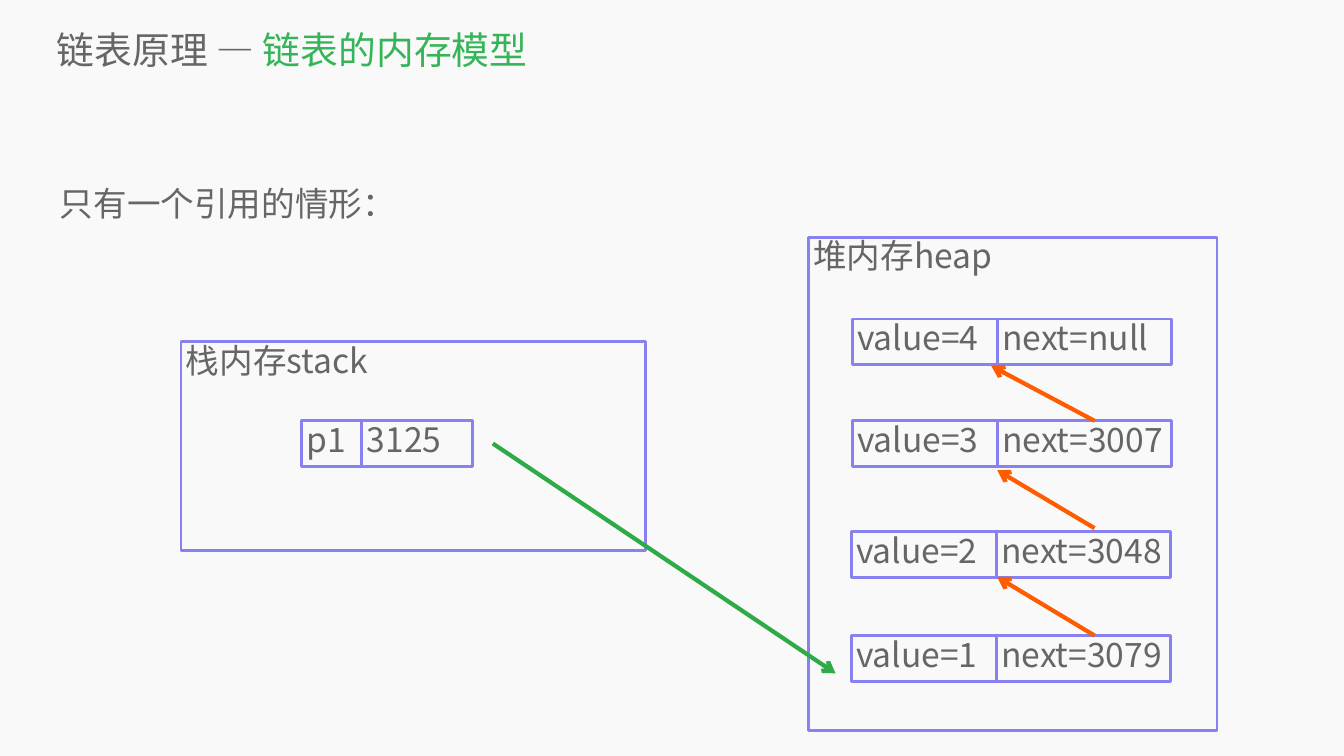
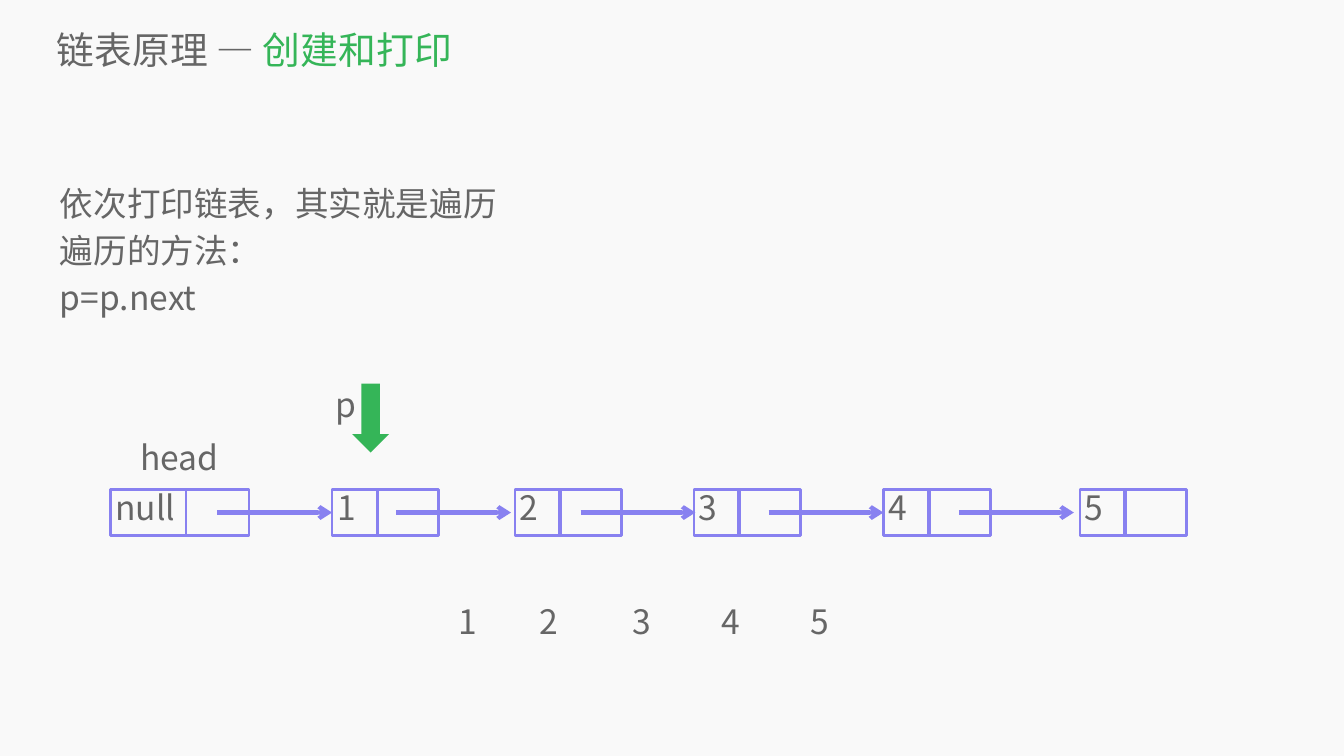
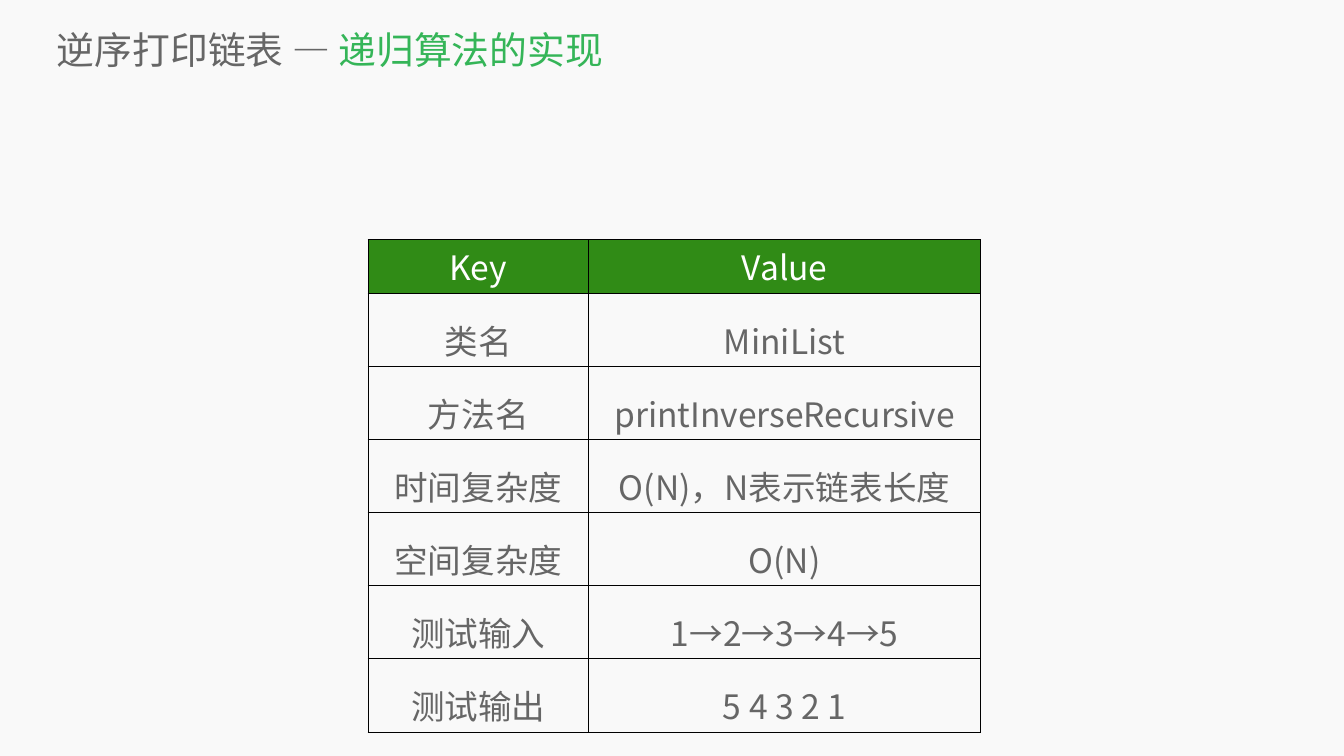
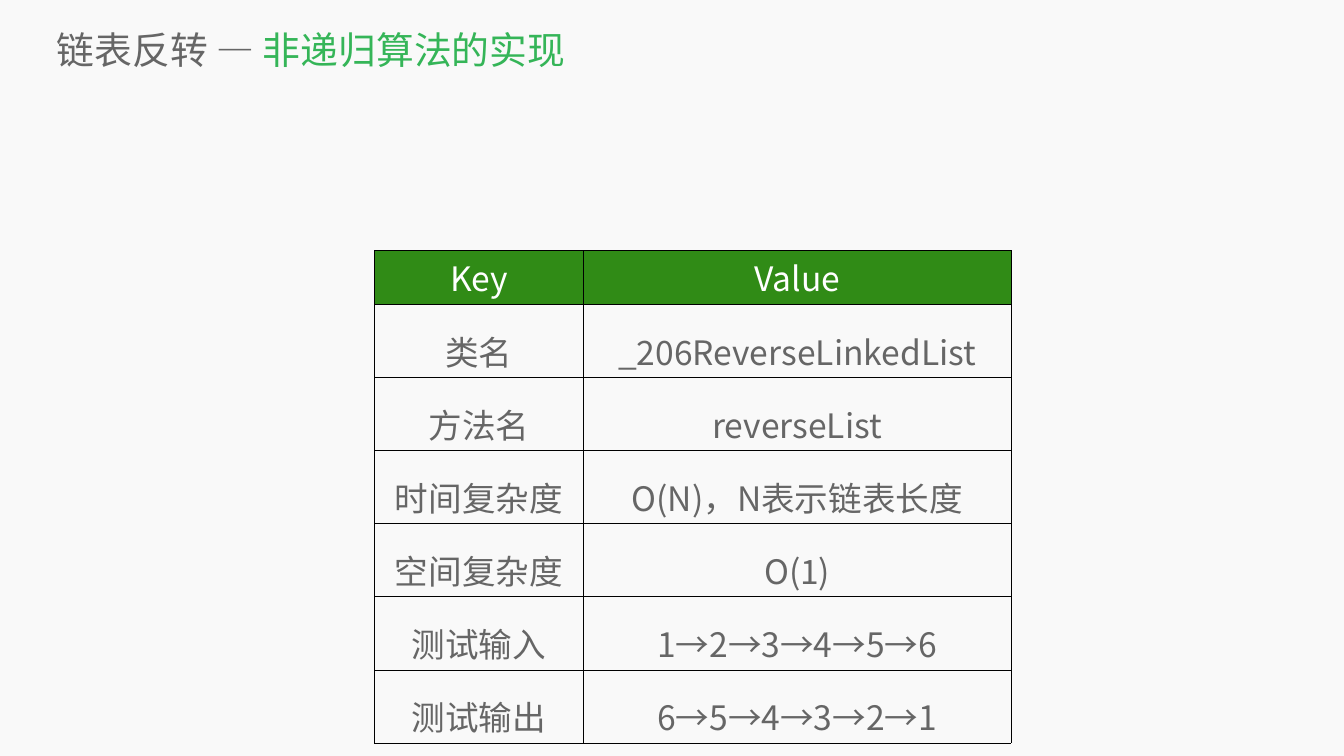
from lxml.etree import SubElement
from pptx import Presentation
from pptx.dml.color import RGBColor
from pptx.enum.shapes import MSO_CONNECTOR, MSO_SHAPE
from pptx.enum.text import MSO_ANCHOR, MSO_AUTO_SIZE, PP_ALIGN
from pptx.oxml.ns import qn
from pptx.util import Inches, Pt

FONT = "Noto Sans CJK SC"
PAPER, GREY, GREEN, VIOLET = "F9F9F9", "666666", "35B558", "8881F0"
LINK_GREEN, ORANGE = "2EAA46", "FF5C00"
HEADER_GREEN, WHITE, BLACK = "308B16", "FFFFFF", "000000"
TITLE_SIZE, TEXT_SIZE = 54, 48
CELL_H = 0.91            # height of one memory cell
TIGHT, LOOSE = 0.9, 1.17  # line spacing of labels and of body text


def rgb(value):
    """Turn a hex string into a colour."""
    return RGBColor.from_string(value)


def box(*lengths):
    """Turn lengths in inches into slide units."""
    return [Inches(n) for n in lengths]


def style(p, size=TEXT_SIZE, color=GREY, align=PP_ALIGN.LEFT, spacing=None):
    """Format a paragraph, with one font for Latin and Chinese text."""
    p.font.size, p.font.name = Pt(size), FONT
    p.font.color.rgb = rgb(color)
    p.alignment = align
    if spacing:
        p.line_spacing = spacing
    for r in p.runs:
        r.font.name = FONT
        SubElement(r.font._element, qn("a:ea"), typeface=FONT)


def place(sp, at, anchor):
    """Move a placeholder and clear its insets."""
    sp.left, sp.top, sp.width, sp.height = box(*at)
    tf = sp.text_frame
    tf.margin_left = tf.margin_top = tf.margin_right = tf.margin_bottom = 0
    tf.vertical_anchor = anchor
    tf.auto_size, tf.word_wrap = MSO_AUTO_SIZE.NONE, True
    return tf


def add_slide(prs, topic, subject, lines=()):
    """Add a slide with a two-colour title and optional body lines."""
    s = prs.slides.add_slide(prs.slide_layouts[0])
    s.background.fill.solid()
    s.background.fill.fore_color.rgb = rgb(PAPER)
    p = place(s.shapes.title, (1.13, 0.47, 25.16, 1.02), MSO_ANCHOR.MIDDLE).paragraphs[0]
    p.add_run().text = f"{topic} — "
    r = p.add_run()
    r.text = subject
    style(p, TITLE_SIZE)
    r.font.color.rgb = rgb(GREEN)
    body = s.placeholders[1]
    if not lines:
        body.element.getparent().remove(body.element)
        return s
    tf = place(body, (1.19, 3.49, 24.28, 11.24), MSO_ANCHOR.TOP)
    tf.text = "\n".join(lines)
    for p in tf.paragraphs:
        style(p, spacing=LOOSE)
        p.space_before = Pt(0)
    return s


def write(sp, text):
    """Put a label at the top left of a shape."""
    tf = sp.text_frame
    tf.word_wrap, tf.auto_size = True, MSO_AUTO_SIZE.NONE
    tf.vertical_anchor = MSO_ANCHOR.TOP
    tf.text = text
    style(tf.paragraphs[0], spacing=TIGHT)


def label(s, x, y, w, text):
    """Add a free label."""
    write(s.shapes.add_textbox(*box(x, y, w, CELL_H)), text)


def frame(s, x, y, w, h=CELL_H, text=""):
    """Add an outlined box with an optional label."""
    sp = s.shapes.add_shape(MSO_SHAPE.RECTANGLE, *box(x, y, w, h))
    sp.shadow.inherit = False
    sp.fill.background()
    sp.line.color.rgb, sp.line.width = rgb(VIOLET), Pt(4)
    if text:
        write(sp, text)


def node(s, x, y, widths, texts):
    """Add two memory cells side by side."""
    for w, text in zip(widths, texts):
        frame(s, x, y, w, text=text)
        x += w


def arrow(s, start, end, color):
    """Add a line with an open arrowhead at its end."""
    c = s.shapes.add_connector(MSO_CONNECTOR.STRAIGHT, *box(*start, *end))
    c.line.color.rgb, c.line.width = rgb(color), Pt(6)
    SubElement(c.line._get_or_add_ln(), qn("a:tailEnd"), type="arrow")
    SubElement(c.element.spPr, qn("a:effectLst"))


def border(cell):
    """Draw a thin black line on every side of a cell."""
    tcPr = cell._tc.get_or_add_tcPr()
    for i, side in enumerate(("lnL", "lnR", "lnT", "lnB")):
        ln = SubElement(tcPr, qn(f"a:{side}"), w=str(Pt(1)))
        SubElement(SubElement(ln, qn("a:solidFill")), qn("a:srgbClr"), val=BLACK)
        tcPr.insert(i, ln)


def summary_table(s, x, y, widths, values):
    """Add the table of facts about one algorithm."""
    keys = ["Key", "类名", "方法名", "时间复杂度", "空间复杂度", "测试输入", "测试输出"]
    rows = list(zip(keys, ["Value", *values]))
    shape = s.shapes.add_table(len(rows), 2, *box(x, y, sum(widths), 8.22))
    table = shape.table
    table.horz_banding = False
    for col, w in zip(table.columns, widths):
        col.width = Inches(w)
    for i, texts in enumerate(rows):
        head = i == 0
        table.rows[i].height = Inches(0.85 if head else 0.83)
        for j, text in enumerate(texts):
            cell = table.cell(i, j)
            cell.text = text
            style(cell.text_frame.paragraphs[0], color=WHITE if head else GREY,
                  align=PP_ALIGN.CENTER, spacing=None if head else 1.4)
            if head:
                cell.fill.solid()
                cell.fill.fore_color.rgb = rgb(HEADER_GREEN)
            else:
                cell.fill.background()
            border(cell)
    shape.height = Inches(8.22)


def memory_slide(prs):
    """Show a reference on the stack and the nodes on the heap."""
    s = add_slide(prs, "链表原理", "链表的内存模型", ["只有一个引用的情形："])
    frame(s, 16.04, 4.71, 8.11, 9.79, "堆内存heap")
    frame(s, 3.59, 6.78, 9.22, 4.14, "栈内存stack")
    node(s, 5.98, 8.35, (1.2, 2.2), ("p1", "3125"))
    heap = [(16.91, 6.33, 4, "null"), (16.91, 8.35, 3, "3007"),
            (16.89, 10.55, 2, "3048"), (16.89, 12.61, 1, "3079")]
    for x, y, value, address in heap:
        node(s, x, y, (2.88, 3.46), (f"value={value}", f"next={address}"))
    arrow(s, (9.78, 8.8), (16.58, 13.36), LINK_GREEN)
    for y1, x2, y2 in [(10.48, 19.79, 9.33), (12.61, 19.79, 11.45), (8.35, 19.67, 7.26)]:
        arrow(s, (21.72, y1), (x2, y2), ORANGE)


def traversal_slide(prs):
    """Show a pointer walking along the list and what it prints."""
    s = add_slide(prs, "链表原理", "创建和打印",
                  ["依次打印链表，其实就是遍历", "遍历的方法：", "p=p.next"])
    y = 9.71
    node(s, 2.19, y, (1.5, 1.25), ("null", ""))
    label(s, 2.69, y - 1, 2, "head")
    for i, x in enumerate((6.59, 10.22, 13.77, 17.53, 21.43), 1):
        frame(s, x, y, 0.91, text=str(i))
        frame(s, x + 0.89, y, 1.23)
    for x in (4.31, 7.86, 11.52, 15.25, 19.03):
        arrow(s, (x, y + 0.46), (x + 2.28, y + 0.46), VIOLET)
    sp = s.shapes.add_shape(MSO_SHAPE.DOWN_ARROW, *box(6.99, 7.61, 0.73, 1.37))
    sp.shadow.inherit = False
    sp.fill.solid()
    sp.fill.fore_color.rgb = rgb(GREEN)
    sp.line.fill.background()
    label(s, 6.55, 7.65, 0.45, "p")
    for i, x in enumerate((9, 10.6, 12.46, 14.21, 15.98), 1):
        label(s, x, 11.97, 0.81, str(i))


def main():
    """Build the four slides."""
    prs = Presentation()
    prs.slide_width, prs.slide_height = box(26.67, 15)
    memory_slide(prs)
    traversal_slide(prs)
    linear = "O(N)，N表示链表长度"
    s = add_slide(prs, "逆序打印链表", "递归算法的实现")
    summary_table(s, 7.3, 4.75, (4.38, 7.78),
                  ["MiniList", "printInverseRecursive", linear, "O(N)",
                   "1→2→3→4→5", "5 4 3 2 1"])
    s = add_slide(prs, "链表反转", "非递归算法的实现")
    summary_table(s, 7.43, 4.97, (4.15, 8.48),
                  ["_206ReverseLinkedList", "reverseList", linear, "O(1)",
                   "1→2→3→4→5→6", "6→5→4→3→2→1"])
    prs.save("out.pptx")


main()
